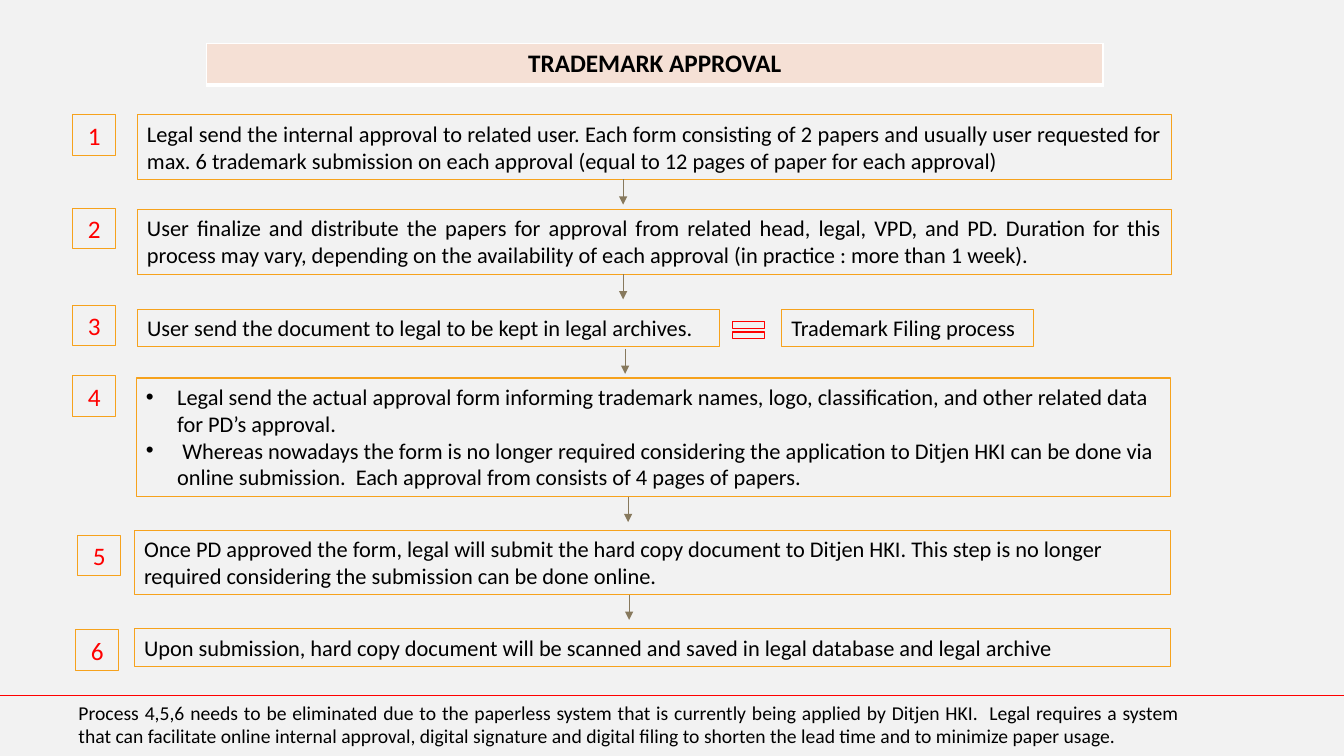
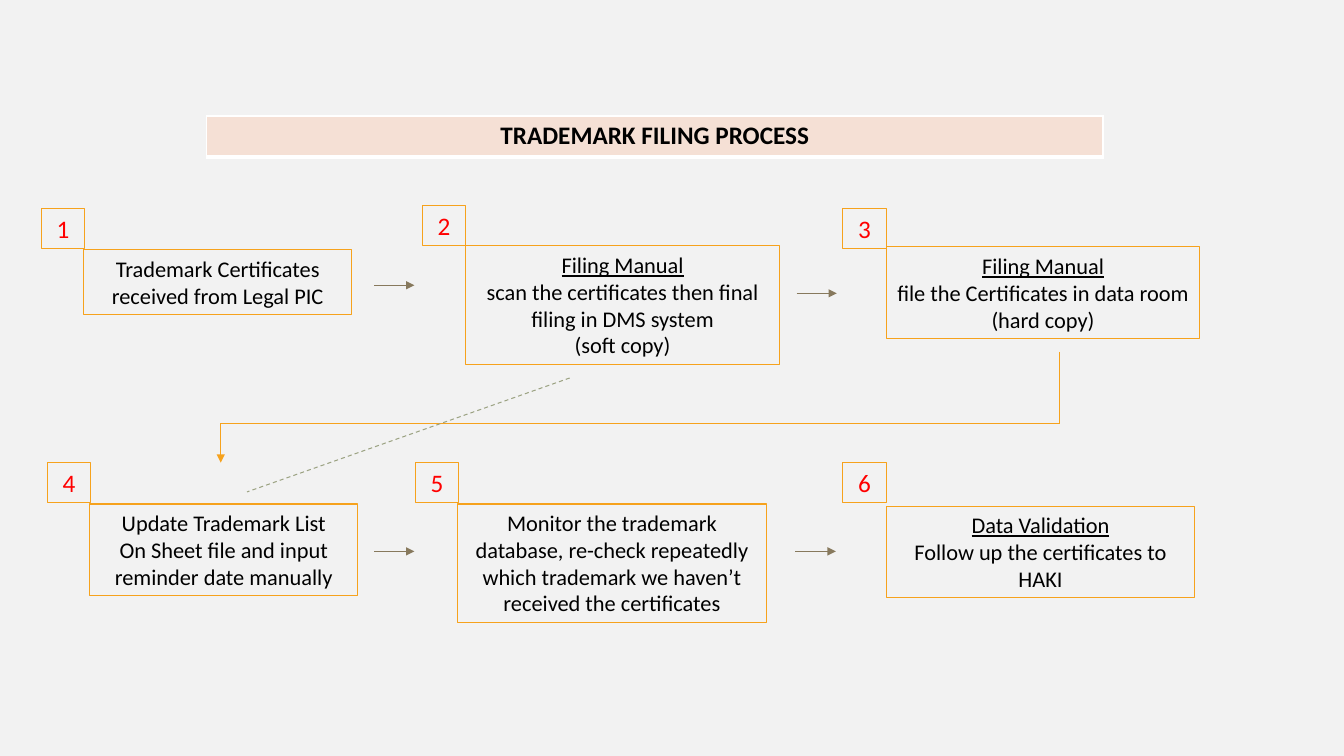
from lxml import etree
from pptx import Presentation
from pptx.dml.color import RGBColor
from pptx.enum.dml import MSO_LINE
from pptx.enum.shapes import MSO_CONNECTOR, MSO_SHAPE
from pptx.enum.text import MSO_ANCHOR, MSO_AUTO_SIZE, PP_ALIGN
from pptx.oxml.ns import qn
from pptx.util import Inches, Pt

# Shared look
PAPER = RGBColor(0xF2, 0xF2, 0xF2)
BAND = RGBColor(0xF5, 0xE0, 0xD5)
WHITE = RGBColor(0xFF, 0xFF, 0xFF)
BLACK = RGBColor(0x00, 0x00, 0x00)
RED = RGBColor(0xFF, 0x00, 0x00)
AMBER = RGBColor(0xF6, 0xA2, 0x1D)
BROWN = RGBColor(0x87, 0x79, 0x5D)
SAGE = RGBColor(0x9C, 0xA3, 0x83)

LEFT, CENTER, JUST = PP_ALIGN.LEFT, PP_ALIGN.CENTER, PP_ALIGN.JUSTIFY
STRAIGHT = MSO_CONNECTOR.STRAIGHT
EQUAL = MSO_SHAPE.MATH_EQUAL
DASH = MSO_LINE.DASH
GROW = MSO_AUTO_SIZE.SHAPE_TO_FIT_TEXT
TOP = MSO_ANCHOR.TOP

BODY = {"name": "Calibri", "size": Pt(16)}
BADGE = {**BODY, "size": Pt(18)}
TITLE = {**BADGE, "bold": True}
NOTE = {**BODY, "size": Pt(14)}
FRAME = {"word_wrap": True, "auto_size": GROW, "vertical_anchor": TOP}
PLAIN = {"first_row": False, "horz_banding": False}

# Approval steps: badge left and top, box left, top, width and height,
# alignment, text (a list makes bullets)
STEPS = [
    ((0.72, 1.14), (1.36, 1.14, 10.26, 0.64), JUST,
     "Legal send the internal approval to related user. Each form consisting "
     "of 2 papers and usually user requested for max. 6 trademark submission "
     "on each approval (equal to 12 pages of paper for each approval)"),
    ((0.72, 2.07), (1.36, 2.08, 10.26, 0.64), JUST,
     "User finalize and distribute the papers for approval from related head, "
     "legal, VPD, and PD. Duration for this process may vary, depending on the "
     "availability of each approval (in practice : more than 1 week)."),
    ((0.72, 3.03), (1.36, 3.07, 5.78, 0.37), LEFT,
     "User send the document to legal to be kept in legal archives."),
    ((0.72, 3.73), (1.35, 3.75, 10.26, 1.18), LEFT,
     ["Legal send the actual approval form informing trademark names, logo, "
      "classification, and other related data for PD’s approval.",
      " Whereas nowadays the form is no longer required considering the "
      "application to Ditjen HKI can be done via online submission.  Each "
      "approval from consists of 4 pages of papers."]),
    ((0.77, 5.31), (1.33, 5.26, 10.28, 0.64), LEFT,
     "Once PD approved the form, legal will submit the hard copy document to "
     "Ditjen HKI. This step is no longer required considering the submission "
     "can be done online."),
    ((0.75, 6.25), (1.33, 6.24, 10.28, 0.37), LEFT,
     "Upon submission, hard copy document will be scanned and saved in legal "
     "database and legal archive"),
]
DROPS = [(6.18, 1.78), (6.18, 2.72), (6.2, 3.46), (6.23, 4.93), (6.24, 5.9)]
REMARK = (
    "Process 4,5,6 needs to be eliminated due to the paperless system that is "
    "currently being applied by Ditjen HKI.  Legal requires a system that can "
    "facilitate online internal approval, digital signature and digital filing "
    "to shorten the lead time and to minimize paper usage.")

# Filing steps: badge, box, underlined heading, lines
FILING = [
    ((0.41, 2.07), (0.83, 2.48, 2.66, 0.64), None,
     ["Trademark Certificates received from Legal PIC"]),
    ((4.19, 2.04), (4.62, 2.44, 3.11, 1.18), "Filing Manual",
     ["scan the certificates then final filing in DMS system", "(soft copy)"]),
    ((8.36, 2.07), (8.79, 2.45, 3.11, 0.91), "Filing Manual",
     ["file the Certificates in data room (hard copy)"]),
    ((0.47, 4.59), (0.89, 5, 2.66, 0.91), None,
     ["Update Trademark List",
      "On Sheet file and input reminder date manually"]),
    ((4.12, 4.59), (4.54, 5, 3.06, 1.18), None,
     ["Monitor the trademark database, re-check repeatedly which trademark "
      "we haven’t received the certificates"]),
    ((8.36, 4.59), (8.79, 5.02, 3.06, 0.91), "Data Validation",
     ["Follow up the certificates to HAKI"]),
]
HOPS = [(3.71, 2.83), (7.9, 2.91), (3.71, 5.47), (7.89, 5.47)]
RETURN = [(10.51, 3.49), (10.51, 4.2), (2.19, 4.2), (2.19, 4.59)]


def inches(nums):
    return [Inches(n) for n in nums]


def style(item, values):
    for key, value in values.items():
        setattr(item, key, value)


def write(par, text, form, color=BLACK, align=LEFT):
    par.alignment = align
    run = par.add_run()
    run.text = text
    style(run.font, form)
    run.font.color.rgb = color


def bullet(par):
    props = par._p.get_or_add_pPr()
    props.set("marL", str(Inches(0.31)))
    props.set("indent", str(-Inches(0.31)))
    etree.SubElement(props, qn("a:buFont"), typeface="Arial")
    etree.SubElement(props, qn("a:buChar"), char="•")


def add_box(slide, area, lines, form=BODY, color=BLACK, align=LEFT,
            edge=AMBER, head=None, dots=False):
    """Text box; head is an underlined first line."""
    box = slide.shapes.add_textbox(*inches(area))
    if edge:
        box.line.color.rgb = edge
        box.line.width = Pt(0.75)
    frame = box.text_frame
    style(frame, FRAME)
    rows = [(line, form) for line in lines]
    if head:
        rows.insert(0, (head, {**form, "underline": True}))
    for i, (text, font) in enumerate(rows):
        par = frame.add_paragraph() if i else frame.paragraphs[0]
        write(par, text, font, color, align)
        if dots:
            bullet(par)


def add_badge(slide, spot, num):
    add_box(slide, (*spot, 0.43, 0.4), [str(num)], BADGE, RED, CENTER)


def add_line(slide, start, end, color=BROWN, width=0.5, arrow=False,
             dash=None):
    line = slide.shapes.add_connector(STRAIGHT, *inches((*start, *end)))
    line.line.color.rgb = color
    line.line.width = Pt(width)
    if dash:
        line.line.dash_style = dash
    if arrow:
        etree.SubElement(line.line._get_or_add_ln(), qn("a:tailEnd"),
                         type="triangle")
    etree.SubElement(line._element.spPr, qn("a:effectLst"))


def add_band(slide, top, text):
    """Title band: a one-cell table with white borders."""
    table = slide.shapes.add_table(1, 1, *inches((2.05, top, 8.89, 0.41))).table
    style(table, PLAIN)
    cell = table.cell(0, 0)
    props = cell._tc.get_or_add_tcPr()
    for side, width in {"L": 1, "R": 1, "T": 1, "B": 3}.items():
        edge = etree.SubElement(props, qn("a:ln" + side), w=str(Pt(width)))
        fill = etree.SubElement(edge, qn("a:solidFill"))
        etree.SubElement(fill, qn("a:srgbClr"), val=str(WHITE))
    cell.fill.solid()
    cell.fill.fore_color.rgb = BAND
    write(cell.text_frame.paragraphs[0], text, TITLE, align=CENTER)


def add_equal(slide, area):
    sign = slide.shapes.add_shape(EQUAL, *inches(area))
    sign.shadow.inherit = False
    sign.fill.background()
    sign.line.color.rgb = RED
    sign.line.width = Pt(1)


def new_slide(deck, top, title):
    slide = deck.slides.add_slide(deck.slide_layouts[6])
    add_band(slide, top, title)
    return slide


def approval(deck):
    slide = new_slide(deck, 0.43, "TRADEMARK APPROVAL")
    for num, (spot, area, align, text) in enumerate(STEPS, 1):
        dots = isinstance(text, list)
        add_badge(slide, spot, num)
        add_box(slide, area, text if dots else [text], align=align, dots=dots)
    for x, y in DROPS:
        add_line(slide, (x, y), (x, y + 0.25), arrow=True)
    # Side branch
    add_equal(slide, (7.21, 3.13, 0.43, 0.29))
    add_box(slide, (7.75, 3.07, 2.5, 0.37), ["Trademark Filing process"])
    # Closing remark
    add_line(slide, (0, 6.9), (13.33, 6.9), RED)
    add_box(slide, (0.68, 6.9, 11.12, 0.57), [REMARK], NOTE, align=JUST,
            edge=None)


def filing(deck):
    slide = new_slide(deck, 1.15, "TRADEMARK FILING PROCESS")
    for num, (spot, area, head, lines) in enumerate(FILING, 1):
        add_badge(slide, spot, num)
        add_box(slide, area, lines, align=CENTER, head=head)
    for x, y in HOPS:
        add_line(slide, (x, y), (x + 0.4, y), arrow=True)
    # Way back from step 3 to step 4
    for start, end in zip(RETURN, RETURN[1:]):
        add_line(slide, start, end, AMBER, arrow=end == RETURN[-1])
    add_line(slide, (5.65, 3.75), (2.45, 4.88), SAGE, 0.75, dash=DASH)


def main():
    deck = Presentation()
    deck.slide_width, deck.slide_height = inches((13.33, 7.5))
    back = deck.slide_master.background.fill
    back.solid()
    back.fore_color.rgb = PAPER
    approval(deck)
    filing(deck)
    deck.save("out.pptx")


if __name__ == "__main__":
    main()
